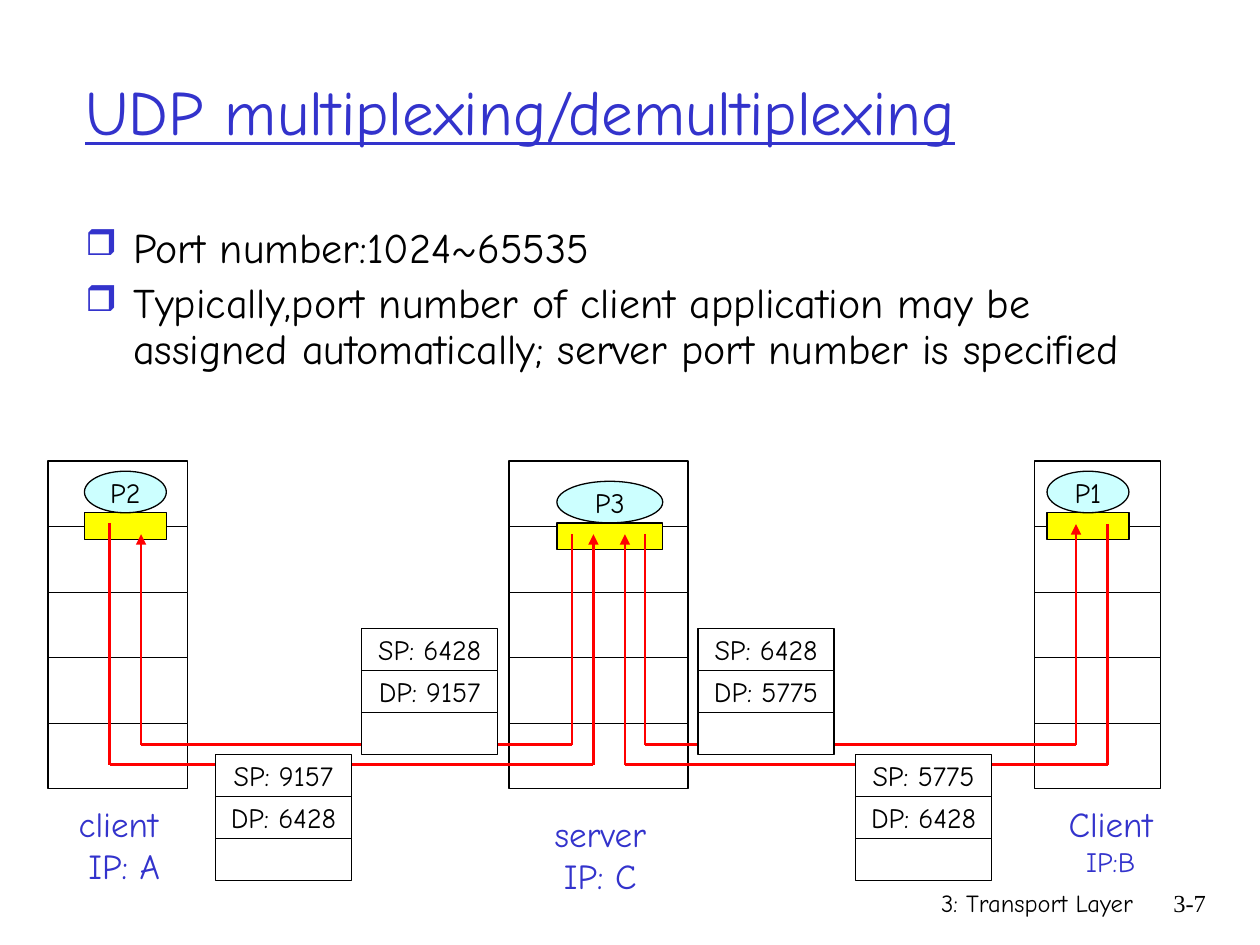
from lxml import etree
from pptx import Presentation
from pptx.dml.color import RGBColor
from pptx.enum.shapes import MSO_CONNECTOR, MSO_SHAPE
from pptx.enum.text import MSO_ANCHOR, PP_ALIGN
from pptx.oxml.ns import qn
from pptx.util import Inches, Pt

RECT, OVAL = MSO_SHAPE.RECTANGLE, MSO_SHAPE.OVAL
STRAIGHT = MSO_CONNECTOR.STRAIGHT
TOP, MIDDLE = MSO_ANCHOR.TOP, MSO_ANCHOR.MIDDLE
LEFT, CENTER, RIGHT = PP_ALIGN.LEFT, PP_ALIGN.CENTER, PP_ALIGN.RIGHT

FONT, NUMBER_FONT = "Comic Neue", "Times New Roman"
BLACK, WHITE, BLUE = "000000", "FFFFFF", "3333CC"
RED, YELLOW, CYAN = "FF0000", "FFFF00", "CCFFFF"

STACK_TOP, LAYER_HEIGHT, LAYER_COUNT = 3.66, 0.52, 5
SOCKET_HEIGHT, PROCESS_HEIGHT = 0.21, 0.33
PACKET_WIDTH, FIELD_HEIGHT = 1.08, 1 / 3
REPLY_LEVEL, REQUEST_LEVEL = 5.91, 6.07

# stack left, stack width, socket left, socket top, socket width, process
HOSTS = [
    (0.38, 1.11, 0.67, 4.07, 0.65, "P2"),
    (8.21, 1.0, 8.31, 4.07, 0.65, "P1"),
    (4.04, 1.42, 4.42, 4.15, 0.84, "P3"),
]
# box left, top, width, height, then (text, size) per line
HOST_LABELS = [
    (0.51, 6.32, 0.86, 0.77, [("client", 20), (" IP: A", 20)]),
    (8.38, 6.32, 0.87, 0.7, [("Client", 20), ("IP:B", 16)]),
    (4.3, 6.4, 0.93, 0.77, [("server", 20), ("IP: C", 20)]),
]
# sender (x, y), receiver (x, y), height of the horizontal run
FLOWS = [
    ((0.87, 4.15), (4.71, 4.24), REQUEST_LEVEL),
    ((4.54, 4.24), (1.12, 4.24), REPLY_LEVEL),
    ((8.79, 4.16), (4.96, 4.24), REQUEST_LEVEL),
    ((5.12, 4.24), (8.54, 4.16), REPLY_LEVEL),
]
# left, top, source port, destination port
PACKETS = [
    (2.87, 4.99, 6428, 9157),
    (1.71, 5.99, 9157, 6428),
    (5.54, 4.99, 6428, 5775),
    (6.79, 5.99, 5775, 6428),
]


def rgb(color):
    return RGBColor.from_string(color)


def style_paragraph(paragraph, size, color=BLACK, align=CENTER, font=FONT):
    paragraph.alignment = align
    paragraph.font.size = Pt(size)
    paragraph.font.name = font
    paragraph.font.color.rgb = rgb(color)


def add_text(slide, box, lines, color=BLACK, align=LEFT, anchor=TOP,
             font=FONT, wrap=True):
    """Add a text box with one paragraph for each (text, size) line."""
    frame = slide.shapes.add_textbox(*map(Inches, box)).text_frame
    frame.word_wrap = wrap
    frame.vertical_anchor = anchor
    frame.text = "\n".join(text for text, _ in lines)
    for paragraph, (_, size) in zip(frame.paragraphs, lines):
        style_paragraph(paragraph, size, color, align, font)
    return frame


def add_bullet(paragraph):
    properties = paragraph._p.get_or_add_pPr()
    properties.set("marL", str(Inches(0.38)))
    properties.set("indent", str(-Inches(0.38)))
    bullet_color = etree.SubElement(properties, qn("a:buClr"))
    etree.SubElement(bullet_color, qn("a:srgbClr"), val=BLUE)
    etree.SubElement(properties, qn("a:buSzPct"), val="85000")
    etree.SubElement(properties, qn("a:buChar"), char="❒")


def add_points(slide, box, points):
    frame = add_text(slide, box, [(point, 24) for point in points])
    for index, paragraph in enumerate(frame.paragraphs):
        add_bullet(paragraph)
        paragraph.line_spacing = 0.9
        if index:
            paragraph.space_before = Pt(6)


def add_block(slide, kind, box, fill, text=""):
    block = slide.shapes.add_shape(kind, *map(Inches, box))
    block.shadow.inherit = False
    block.fill.solid()
    block.fill.fore_color.rgb = rgb(fill)
    block.line.color.rgb = rgb(BLACK)
    block.line.width = Pt(0.75)
    if text:
        frame = block.text_frame
        frame.word_wrap = False
        frame.vertical_anchor = MIDDLE
        frame.text = text
        style_paragraph(frame.paragraphs[0], 16)


def add_host(slide, left, width, socket_left, socket_top, socket_width, process):
    """Draw the protocol stack with its socket and the process on top."""
    for layer in range(LAYER_COUNT):
        top = STACK_TOP + layer * LAYER_HEIGHT
        add_block(slide, RECT, (left, top, width, LAYER_HEIGHT), WHITE)
    add_block(slide, RECT,
              (socket_left, socket_top, socket_width, SOCKET_HEIGHT), YELLOW)
    add_block(slide, OVAL,
              (socket_left, socket_top - PROCESS_HEIGHT, socket_width,
               PROCESS_HEIGHT), CYAN, process)


def add_line(slide, start, end, arrow=False):
    connector = slide.shapes.add_connector(STRAIGHT, *map(Inches, start + end))
    connector.line.color.rgb = rgb(RED)
    connector.line.width = Pt(1.5)
    if arrow:
        etree.SubElement(connector.line._get_or_add_ln(), qn("a:tailEnd"),
                         type="triangle")
    etree.SubElement(connector._element.spPr, qn("a:effectLst"))


def add_flow(slide, sender, receiver, level):
    """Lead down from the sender, across, and up to the receiver."""
    sender_corner, receiver_corner = (sender[0], level), (receiver[0], level)
    add_line(slide, sender, sender_corner)
    add_line(slide, sender_corner, receiver_corner)
    add_line(slide, receiver_corner, receiver, arrow=True)


def add_packet(slide, left, top, source, destination):
    fields = (f"SP: {source}", f"DP: {destination}", "")
    for row, field in enumerate(fields):
        box = (left, top + row * FIELD_HEIGHT, PACKET_WIDTH, FIELD_HEIGHT)
        add_block(slide, RECT, box, WHITE, field)


def main():
    presentation = Presentation()
    presentation.slide_width = Inches(10)
    presentation.slide_height = Inches(7.5)
    slide = presentation.slides.add_slide(presentation.slide_layouts[6])

    title = add_text(slide, (0.58, 0.25, 8.5, 1.25),
                     [("UDP multiplexing/demultiplexing", 36)],
                     BLUE, anchor=MIDDLE)
    title.paragraphs[0].font.underline = True
    add_points(slide, (0.58, 1.75, 8.5, 1.75), [
        "Port number:1024~65535",
        "Typically,port number of client application may be assigned "
        "automatically; server port number is specified",
    ])
    add_text(slide, (5.92, 7, 3.17, 0.5), [("3: Transport Layer", 14)],
             align=RIGHT)
    add_text(slide, (8.93, 7, 0.74, 0.5), [("3-7", 14)],
             align=RIGHT, font=NUMBER_FONT)

    for host in HOSTS:
        add_host(slide, *host)
    for *box, lines in HOST_LABELS:
        add_text(slide, box, lines, BLUE, CENTER, wrap=False)
    for flow in FLOWS:
        add_flow(slide, *flow)
    for packet in PACKETS:
        add_packet(slide, *packet)

    presentation.save("out.pptx")


if __name__ == "__main__":
    main()
